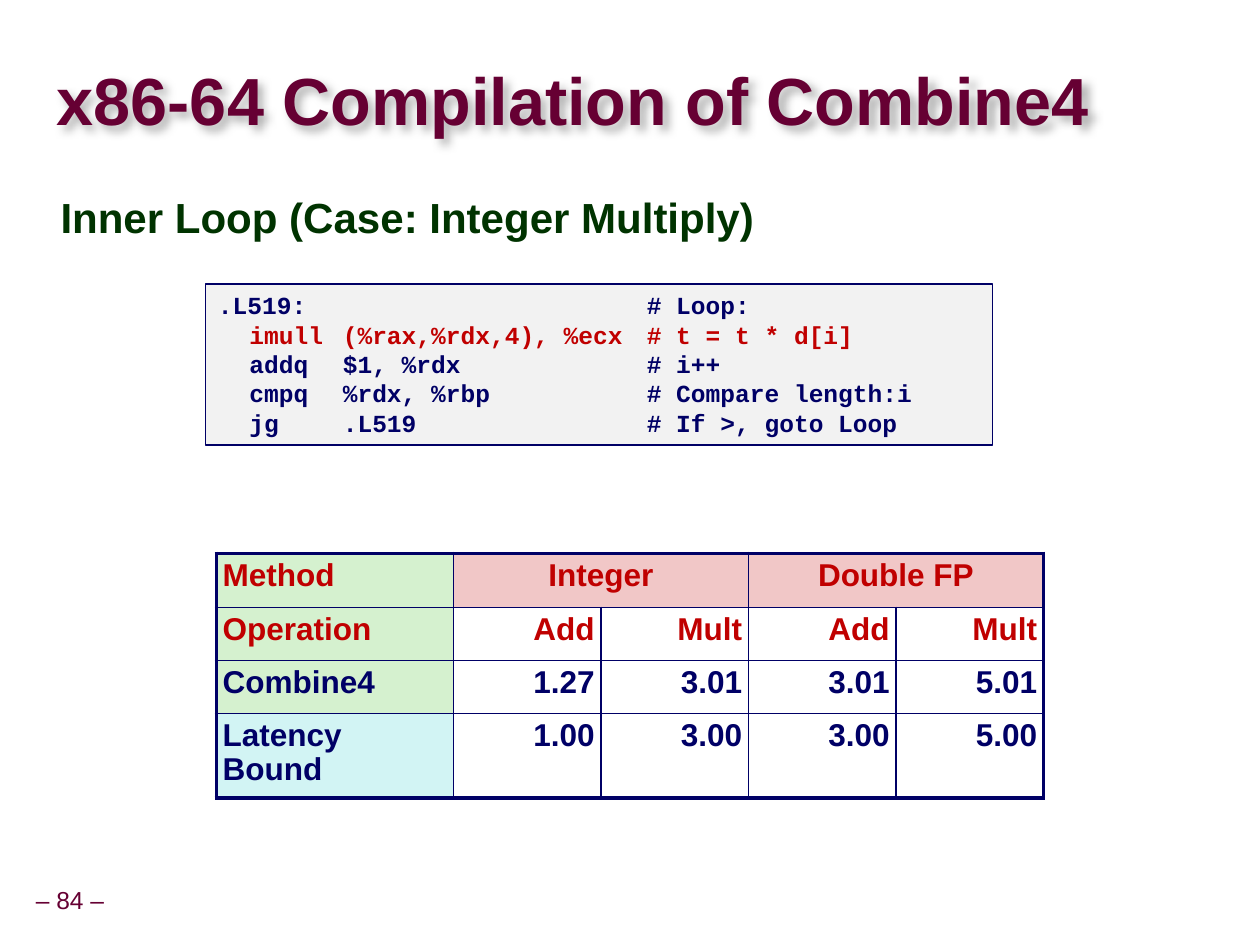
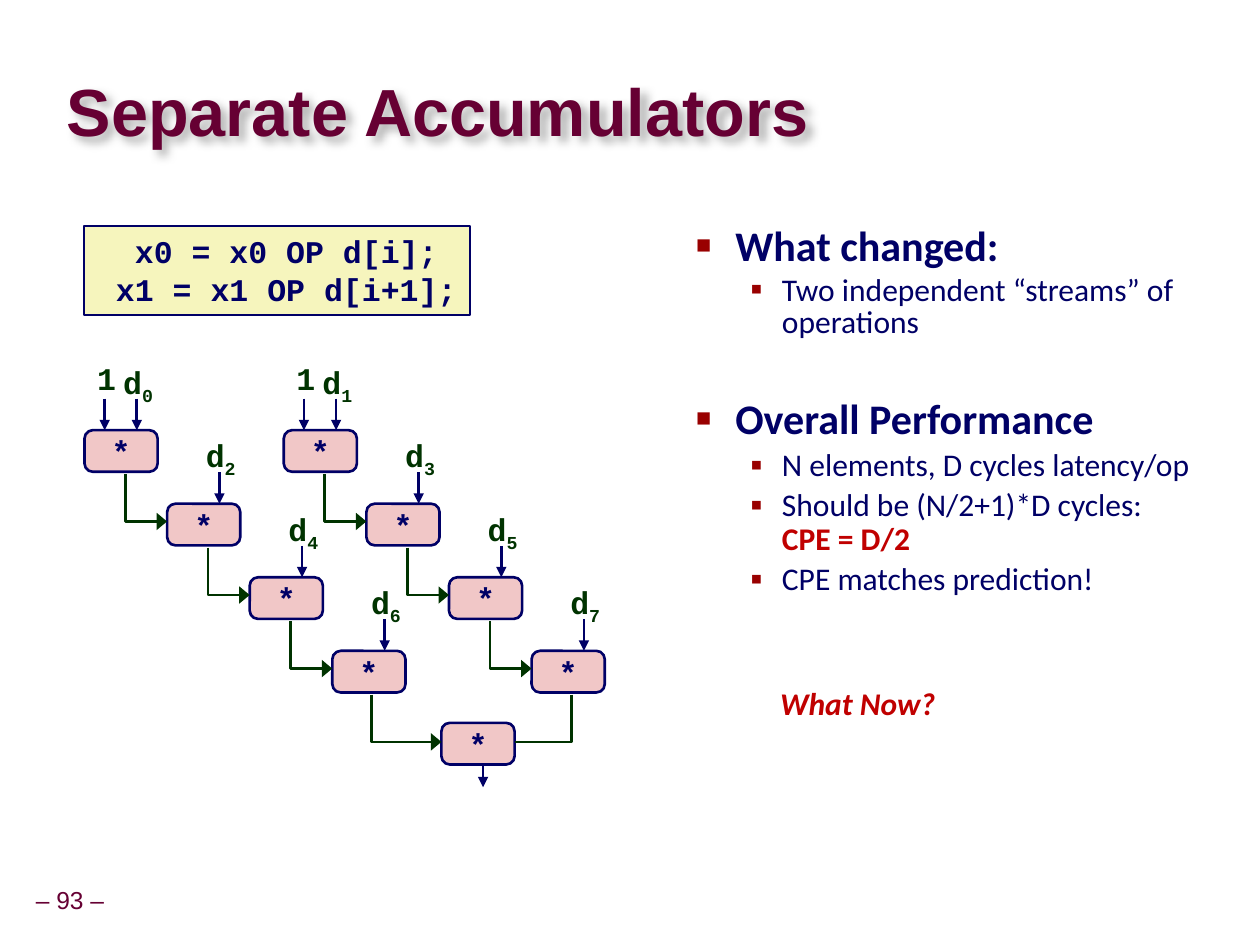
from copy import deepcopy
from dataclasses import dataclass

from lxml import etree
from pptx import Presentation
from pptx.dml.color import RGBColor
from pptx.enum.shapes import MSO_CONNECTOR, MSO_SHAPE
from pptx.enum.text import MSO_ANCHOR, MSO_AUTO_SIZE, PP_ALIGN
from pptx.oxml.ns import qn
from pptx.util import Inches, Pt

LEFT, MID, RIGHT = PP_ALIGN.LEFT, PP_ALIGN.CENTER, PP_ALIGN.RIGHT
TOP, CENTER = MSO_ANCHOR.TOP, MSO_ANCHOR.MIDDLE
RECT, ROUND = MSO_SHAPE.RECTANGLE, MSO_SHAPE.ROUNDED_RECTANGLE
STRAIGHT = MSO_CONNECTOR.STRAIGHT
FIXED = MSO_AUTO_SIZE.NONE
CELLS = 10
WIDE, HIGH = 99.9, 74.9


@dataclass(frozen=True)
class Theme:
    wine: str = "660033"
    navy: str = "000066"
    green: str = "003300"
    red: str = "C00000"
    mark: str = "990000"
    gray: str = "F2F2F2"
    pink: str = "F1C7C7"
    lime: str = "D5F1CF"
    aqua: str = "D2F4F4"
    cream: str = "F6F5BD"
    sans: str = "Arial"
    list: str = "Calibri"
    code: str = "Courier New"
    title: int = 38
    head: int = 24
    text: int = 18
    small: int = 14


T = Theme()
BLOCK = ("■", 60, 3.1, 3.1)
DOT = ("▪", 110, 6.8, 2.5)


def grid(*cells):
    return [Inches(cell / CELLS) for cell in cells]


def tint(code):
    return RGBColor.from_string(code)


def node(parent, tag, **attrs):
    return etree.SubElement(parent, qn(tag), {key: str(val) for key, val in attrs.items()})


def style(run, face, size, color, bold, italic=False, sub=False):
    font = run.font
    font.name, font.size, font.bold, font.italic = face, Pt(size), bold, italic
    font.color.rgb = tint(color)
    if sub:
        run._r.get_or_add_rPr().set("baseline", "-25000")


def indent(props, mark):
    sign, share, left, hang = mark or (None, 0, 0, 0)
    props.set("marL", str(grid(left)[0]))
    props.set("indent", str(-grid(hang)[0]))
    if mark:
        node(node(props, "a:buClr"), "a:srgbClr", val=T.mark)
        node(props, "a:buSzPct", val=share * 1000)
        node(props, "a:buChar", char=sign)
    else:
        node(props, "a:buNone")


def put(frame, text, align=LEFT, lead=None, before=0, tabs=(), mark=None, level=0,
        face=T.sans, size=T.text, color=T.navy, bold=True, italic=False):
    par = frame.paragraphs[-1]
    if par.runs:
        par = frame.add_paragraph()
    par.alignment, par.level = align, level
    par.space_before = Pt(before)
    if lead:
        par.line_spacing = lead
    props = par._p.get_or_add_pPr()
    if tabs:
        stops = node(props, "a:tabLst")
        for stop in grid(*tabs):
            node(stops, "a:tab", pos=stop, algn="l")
    else:
        indent(props, mark)
    base = dict(face=face, size=size, color=color, bold=bold, italic=italic)
    for words, extra in [(text, {})] if isinstance(text, str) else text:
        for turn, part in enumerate(words.split("\n")):
            if turn:
                par.add_line_break()
                par._p[-1].append(deepcopy(par.runs[-1]._r.rPr))
            if part:
                run = par.add_run()
                run.text = part
                style(run, **{**base, **extra})


def setup(frame, pad=(1, 0.5), anchor=TOP, wrap=True):
    frame.auto_size, frame.word_wrap, frame.vertical_anchor = FIXED, wrap, anchor
    side, edge = grid(*pad)
    frame.margin_left = frame.margin_right = side
    frame.margin_top = frame.margin_bottom = edge
    return frame


class Deck:
    def __init__(self):
        self.file = Presentation()
        self.file.slide_width, self.file.slide_height = grid(WIDE, HIGH)
        self.slide = None

    def start(self, title, page, left, top):
        self.slide = self.file.slides.add_slide(self.file.slide_layouts[1])
        shape = self.slide.shapes.title
        frame = self.place(shape, left, top, 82.9, 8.3, pad=(0, 0), anchor=CENTER)
        put(frame, title, size=T.title, color=T.wine, lead=0.87)
        glow = node(node(shape._element.spPr, "a:effectLst"), "a:outerShdw",
                    blurRad=63500, dist=50800, dir=2700000, algn="tl", rotWithShape=0)
        node(node(glow, "a:prstClr", val="black"), "a:alpha", val=30000)
        self.label(f"– {page} –", 2.15, 69.85, 6.8, 3.2, anchor=CENTER,
                   size=T.small, color=T.wine, bold=False)

    def place(self, shape, left, top, wide, high, **frame):
        shape.left, shape.top, shape.width, shape.height = grid(left, top, wide, high)
        return setup(shape.text_frame, **frame)

    def body(self, *area):
        return self.place(self.slide.placeholders[1], *area)

    def label(self, text, left, top, wide, high, anchor=TOP, **form):
        box = self.slide.shapes.add_textbox(*grid(left, top, wide, high))
        frame = setup(box.text_frame, (0.5, 0.5), anchor, wrap=False)
        put(frame, text, **{"align": MID, "lead": 0.9, **form})

    def box(self, kind, left, top, wide, high, fill, line=1, **frame):
        shape = self.slide.shapes.add_shape(kind, *grid(left, top, wide, high))
        shape.fill.solid()
        shape.fill.fore_color.rgb = tint(fill)
        shape.shadow.inherit = False
        self.stroke(shape, T.navy, line)
        if kind == ROUND:
            shape.adjustments[0] = 0.2
        return setup(shape.text_frame, **frame)

    def stroke(self, shape, color, line=1.5, head=None):
        shape.line.color.rgb = tint(color)
        shape.line.width = Pt(line)
        if head:
            node(shape._element.spPr.find(qn("a:ln")), "a:tailEnd", type="triangle", w=head)

    def arrow(self, left, top, drop=2.5):
        line = self.slide.shapes.add_connector(STRAIGHT, *grid(left, top, left, top + drop))
        self.stroke(line, T.navy, head="med")
        node(line._element.spPr, "a:effectLst")

    def elbow(self, left, top, end, head="lg", drop=3.75):
        path = self.slide.shapes.build_freeform(*grid(left, top))
        path.add_line_segments([grid(left, top + drop), grid(end, top + drop)], close=False)
        shape = path.convert_to_shape()
        shape.fill.background()
        shape.shadow.inherit = False
        self.stroke(shape, T.green, head=head)

    def table(self, left, top, cols, rows, data, spans, form):
        area = grid(left, top, sum(cols), sum(rows))
        table = self.slide.shapes.add_table(len(rows), len(cols), *area).table
        table.first_row = table.horz_banding = False
        for part, size in zip(table.columns, grid(*cols)):
            part.width = size
        for part, size in zip(table.rows, grid(*rows)):
            part.height = size
        for row, col, end in spans:
            table.cell(row, col).merge(table.cell(row, end))
        for row, line in enumerate(data):
            for col, text in enumerate(line):
                cell = table.cell(row, col)
                fill, look = form(row, col)
                if text:
                    put(setup(cell.text_frame, (0.5, 0.5)), text, lead=0.95, **look)
                cell.margin_left = cell.margin_right = grid(0.5)[0]
                cell.margin_top = cell.margin_bottom = grid(0.5)[0]
                if fill:
                    cell.fill.solid()
                    cell.fill.fore_color.rgb = tint(fill)
                else:
                    cell.fill.background()
                last = col + (cell.span_width if cell.is_merge_origin else 1)
                self.edge(cell, L=col == 0, R=last == len(cols),
                          T=row == 0, B=row == len(rows) - 1)

    def edge(self, cell, **sides):
        props = cell._tc.get_or_add_tcPr()
        for rank, (side, outer) in enumerate(sides.items()):
            line = node(props, f"a:ln{side}", w=Pt(2.25 if outer else 1))
            node(node(line, "a:solidFill"), "a:srgbClr", val=T.navy)
            props.insert(rank, line)


def cell_form(row, col):
    color = T.red if row < 2 else T.navy
    if col == 0:
        return T.aqua if row == 3 else T.lime, dict(color=color)
    if row == 0:
        return T.pink, dict(color=color, align=MID)
    return None, dict(color=color, align=RIGHT)


def compile_slide(deck):
    deck.start("x86-64 Compilation of Combine4", 84, 4.5, 4.15)
    put(deck.body(3.8, 14.95, 90.2, 7.5), "Inner Loop (Case: Integer Multiply)",
        size=T.head, color=T.green, lead=0.95)
    frame = deck.box(RECT, 16.3, 22.5, 62.4, 12.8, T.gray)
    loop = [
        ".L519:\t\t# Loop:",
        "\timull\t(%rax,%rdx,4), %ecx\t# t = t * d[i]",
        "\taddq\t$1, %rdx\t# i++",
        "\tcmpq\t%rdx, %rbp\t# Compare length:i",
        "\tjg\t.L519\t# If >, goto Loop",
    ]
    for row, line in enumerate(loop):
        put(frame, line, face=T.code, size=T.small,
            tabs=(2.5, 9.9, 34) if row else (9.9, 34),
            color=T.red if "imull" in line else T.navy)
    data = [
        ["Method", "Integer", "", "Double FP", ""],
        ["Operation", "Add", "Mult", "Add", "Mult"],
        ["Combine4", "1.27", "3.01", "3.01", "5.01"],
        ["Latency Bound", "1.00", "3.00", "3.00", "5.00"],
    ]
    deck.table(17.15, 43.85, [18.8] + [11.7] * 4, [4.3, 4.2, 4.2, 6.7], data,
               [(0, 1, 2), (0, 3, 4)], cell_form)


def star(deck, left, top):
    frame = deck.box(ROUND, left, top, 5.8, 3.3, T.pink, 1.5, anchor=CENTER, wrap=False)
    put(frame, "*", face=T.code, align=MID)


def chain(deck, lane):
    look = dict(face=T.code, color=T.green)
    for step in range(4):
        left, top = 6.7 + 15.8 * lane + 6.55 * step, 34.1 + 5.83 * step
        star(deck, left, top)
        deck.arrow(left + 4.15, top - 2.5)
        name = [("d", {}), (str(2 * step + lane), dict(sub=True))]
        deck.label(name, left + 2.5, top - 5.8, 3.5, 3.8, **look)
        if step:
            deck.elbow(left - 3.3, top - 2.35, left)
        else:
            deck.arrow(left + 1.6, top - 2.5)
            deck.label("1", left + 0.5, top - 5.8, 2.5, 3.8, **look)


def streams_slide(deck):
    deck.start("Separate Accumulators", 93, 5.3, 5)
    frame = deck.box(RECT, 6.65, 17.9, 30.6, 7.05, T.cream, wrap=False)
    for line in (" x0 = x0 OP d[i];", " x1 = x1 OP d[i+1];"):
        put(frame, line, face=T.code, align=MID)
    for lane in range(2):
        chain(deck, lane)
    deck.arrow(38.3, 59.9)
    star(deck, 35, 57.3)
    deck.elbow(29.45, 55.05, 35)
    deck.elbow(45.3, 55.05, 40.8, head=None)
    frame = deck.body(54.2, 17.5, 43.1, 34.1)
    head = dict(face=T.list, size=T.head, mark=BLOCK, lead=0.85)
    item = dict(face=T.list, bold=False, mark=DOT, level=1)
    put(frame, "What changed:", **head)
    put(frame, "Two independent “streams” of operations", lead=0.85, before=3, **item)
    put(frame, "Overall Performance", before=34.5, **head)
    cost = [("Should be (N/2+1)*D cycles:\n", {}), ("CPE = D/2", dict(color=T.red, bold=True))]
    for text in ("N elements, D cycles latency/op", cost, "CPE matches prediction!"):
        put(frame, text, lead=0.9, before=3.5, **item)
    deck.label("What Now?", 60.45, 54.05, 15.1, 3.8, face=T.list, color=T.red, italic=True)


def main():
    deck = Deck()
    compile_slide(deck)
    streams_slide(deck)
    deck.file.save("out.pptx")


if __name__ == "__main__":
    main()
